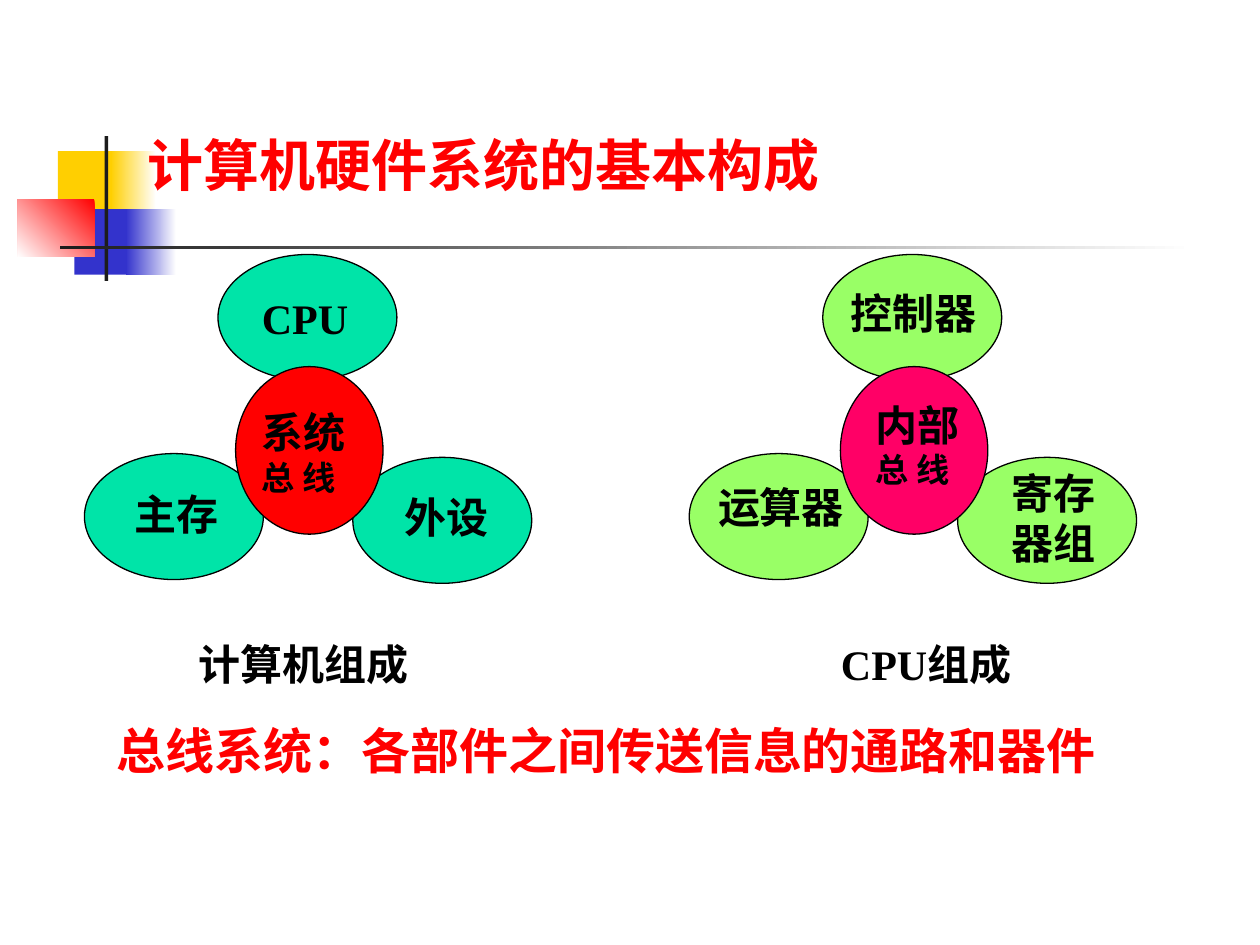
"""Build a slide on the parts of a computer and of its CPU."""
from dataclasses import dataclass

from lxml.etree import SubElement
from pptx import Presentation
from pptx.dml.color import RGBColor as Rgb
from pptx.enum.shapes import MSO_SHAPE as Kind
from pptx.enum.text import MSO_AUTO_SIZE as Fit, PP_ALIGN as Align
from pptx.oxml.ns import qn
from pptx.util import Inches, Pt


@dataclass(frozen=True)
class Theme:
    white: str = "FFFFFF"
    black: str = "000000"
    dark: str = "1C1C1C"
    red: str = "FF0000"
    gold: str = "FFCF01"
    blue: str = "3333CC"
    teal: str = "00E4A8"
    lime: str = "99FF66"
    pink: str = "FF0066"
    title: int = 32
    note: int = 28
    label: int = 24
    small: int = 19
    serif: str = "Times New Roman"
    sans: str = "Noto Sans CJK SC"


THEME = Theme()


def add_shape(shapes, kind, box, fill, angle=0, line=None):
    shape = shapes.add_shape(kind, *map(Inches, box))
    shape.shadow.inherit = False
    if isinstance(fill, tuple):
        shape.fill.gradient()
        shape.fill.gradient_angle = angle
        for stop, color in zip(shape.fill.gradient_stops, fill):
            stop.color.rgb = Rgb.from_string(color)
    else:
        shape.fill.solid()
        shape.fill.fore_color.rgb = Rgb.from_string(fill)
    if line:
        shape.line.color.rgb = Rgb.from_string(line)
        shape.line.width = Pt(0.75)
    else:
        shape.line.fill.background()


def add_text(shapes, box, runs, color=THEME.black, face=THEME.serif,
             align=Align.LEFT, wrap=True):
    frame = shapes.add_textbox(*map(Inches, box)).text_frame
    frame.word_wrap = wrap
    frame.auto_size = Fit.SHAPE_TO_FIT_TEXT
    para = frame.paragraphs[0]
    para.alignment = align
    for text, size in runs:
        run = para.add_run()
        run.text = text
        font = run.font
        font.size, font.bold, font.name = Pt(size), True, face
        font.color.rgb = Rgb.from_string(color)
        props = run._r.get_or_add_rPr()
        SubElement(props, qn("a:ea")).set("typeface", THEME.sans)


def add_motif(shapes):
    gold, blue = (THEME.white, THEME.gold), (THEME.white, THEME.blue)
    bars = [
        ((0.46, 1.2, 0.48, 0.52), THEME.gold, 0),
        ((0.88, 1.2, 0.36, 0.52), gold, 180),
        ((0.59, 1.66, 0.46, 0.52), THEME.blue, 0),
        ((1, 1.66, 0.4, 0.52), blue, 180),
        ((0.14, 1.58, 0.61, 0.46), (THEME.red, THEME.white), 225),
        ((0.83, 1.08, 0.03, 1.15), THEME.dark, 0),
        ((0.48, 1.95, 9, 0.03), (THEME.white, THEME.dark), 180),
    ]
    for box, fill, angle in bars:
        add_shape(shapes, Kind.RECTANGLE, box, fill, angle)


def add_ring(slide, left, petal, core, labels):
    shapes = slide.shapes.add_group_shape().shapes
    for dx, top in ((1.06, 2.02), (0, 3.6), (2.13, 3.63)):
        box = (left + dx, top, 1.42, 1)
        add_shape(shapes, Kind.OVAL, box, petal, line=THEME.black)
    box = (left + 1.2, 2.91, 1.17, 1.33)
    add_shape(shapes, Kind.OVAL, box, core, line=THEME.black)
    for box, text in labels:
        add_text(shapes, box, [(text, THEME.label)])
    return shapes


def add_hub(shapes, left, top, text):
    runs = [(text, THEME.label), ("总 线", THEME.small)]
    add_text(shapes, (left, top, 0.92, 0.82), runs)


def add_name(shapes, left, text, align):
    box = (left, 5.02, 2, 0.5)
    add_text(shapes, box, [(text, THEME.label)], align=align)


def main():
    deck = Presentation()
    deck.slide_width, deck.slide_height = Inches(10), Inches(7.5)
    slide = deck.slides.add_slide(deck.slide_layouts[6])
    add_motif(slide.shapes)

    ring = add_ring(slide, 0.67, THEME.teal, THEME.red, [
        ((1.98, 2.27, 1, 0.5), "CPU"),
        ((0.97, 3.83, 1.08, 0.5), "主存"),
        ((3.11, 3.85, 1.08, 0.5), "外设"),
    ])
    add_hub(ring, 1.98, 3.18, "系统")
    add_name(ring, 1.48, "计算机组成", Align.LEFT)

    ring = add_ring(slide, 5.47, THEME.lime, THEME.pink, [
        ((6.65, 2.23, 1.58, 0.5), "控制器"),
        ((5.6, 3.77, 1.58, 0.5), "运算器"),
        ((7.93, 3.66, 1.08, 0.9), "寄存器组"),
    ])
    add_hub(ring, 6.85, 3.12, "内部")
    add_name(ring, 6.35, "CPU组成", Align.CENTER)

    note = "总线系统：各部件之间传送信息的通路和器件"
    add_text(slide.shapes, (0.83, 5.67, 8.25, 0.57),
             [(note, THEME.note)], THEME.red)
    add_text(slide.shapes, (1.07, 0.99, 5.54, 0.64),
             [("计算机硬件系统的基本构成", THEME.title)],
             THEME.red, THEME.sans, wrap=False)
    deck.save("out.pptx")


if __name__ == "__main__":
    main()
